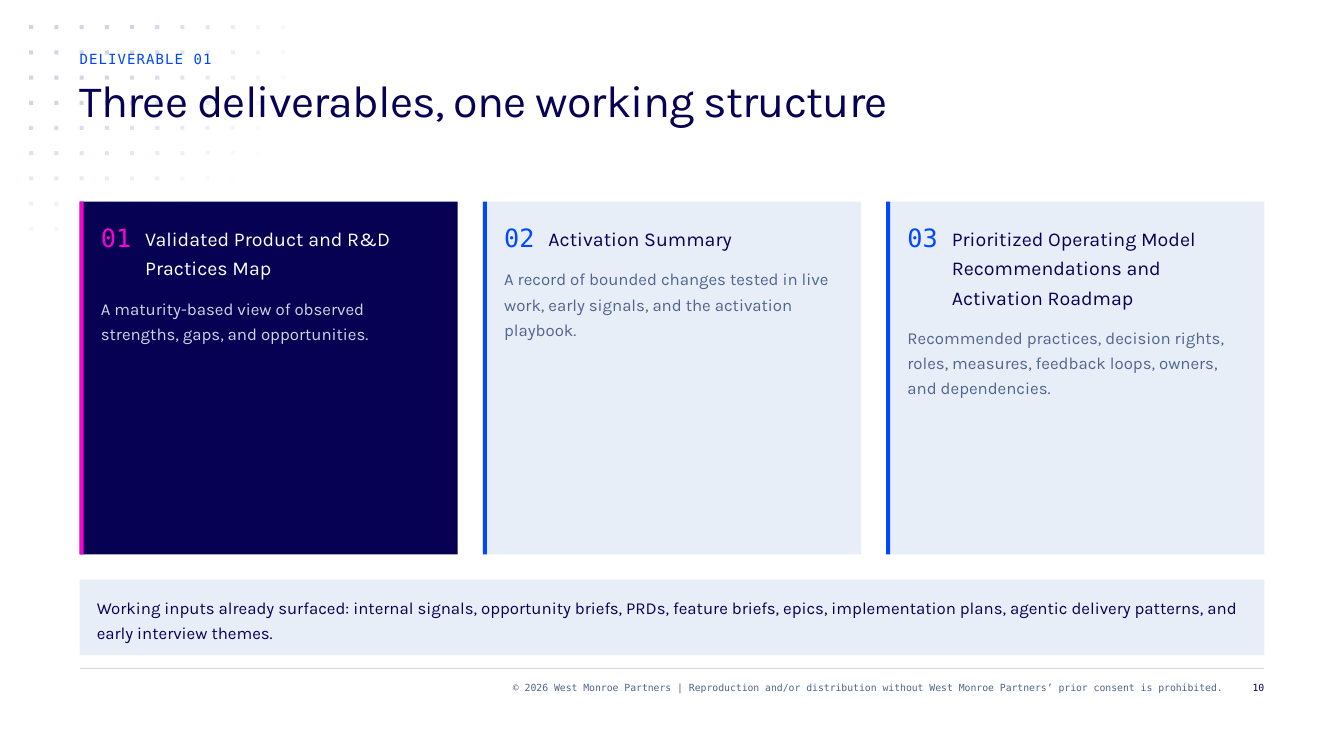
from math import hypot

from lxml import etree
from pptx import Presentation
from pptx.dml.color import RGBColor
from pptx.enum.shapes import MSO_CONNECTOR, MSO_SHAPE
from pptx.enum.text import MSO_ANCHOR, MSO_AUTO_SIZE, PP_ALIGN
from pptx.oxml.ns import qn
from pptx.util import Inches, Pt

RECT = MSO_SHAPE.RECTANGLE
STRAIGHT = MSO_CONNECTOR.STRAIGHT
TOP = MSO_ANCHOR.TOP
NO_FIT = MSO_AUTO_SIZE.NONE
LEFT, RIGHT = PP_ALIGN.LEFT, PP_ALIGN.RIGHT

SANS, MONO = "Karla", "DejaVu Sans Mono"
NAVY, BLUE, PINK, WHITE = "070154", "0047FF", "F900D3", "FFFFFF"
PALE, MIST, SLATE = "E8EEF8", "CED7E6", "50658E"
MARGIN, CONTENT_W = 0.79, 11.75


def add_rect(shapes, x, y, w, h, color):
    sp = shapes.add_shape(RECT, Inches(x), Inches(y), Inches(w), Inches(h))
    sp.shadow.inherit = False
    sp.fill.solid()
    sp.fill.fore_color.rgb = RGBColor.from_string(color)
    sp.line.fill.background()
    return sp


def set_text(sp, at, text, font, size, leading, color, align=LEFT, tracking=0):
    """Place sp at (x, y, w, h) in inches and fill it; tracking is in 1/100 pt."""
    sp.left, sp.top, sp.width, sp.height = [Inches(v) for v in at]
    tf = sp.text_frame
    tf.word_wrap = True
    tf.auto_size = NO_FIT
    tf.vertical_anchor = TOP
    tf.margin_left = tf.margin_right = tf.margin_top = tf.margin_bottom = 0
    p = tf.paragraphs[0]
    p.alignment = align
    p.line_spacing = Pt(leading)
    p.space_before = Pt(0)
    r = p.add_run()
    r.text = text
    r.font.name = font
    r.font.size = Pt(size)
    r.font.color.rgb = RGBColor.from_string(color)
    if tracking:
        r.font._element.set("spc", str(tracking))


prs = Presentation()
prs.slide_width, prs.slide_height = Inches(13.33), Inches(7.5)
s = prs.slides.add_slide(prs.slide_layouts[5])

# Dot grid that fades with elliptical distance from its top-left corner
for row in range(9):
    for col in range(3 if row == 8 else 11):
        opacity = min(100, round(153.9 - hypot(13.9 * col, 17 * row)))
        if opacity < 1:
            continue
        dot = add_rect(s.shapes, 0.29 + 0.25 * col, 0.25 + 0.25 * row, 0.04, 0.04, MIST)
        if opacity < 100:
            rgb = dot.fill._xPr.find(".//" + qn("a:srgbClr"))
            etree.SubElement(rgb, qn("a:alpha")).set("val", str(opacity * 1000))

# Footer
rule = s.shapes.add_connector(STRAIGHT, Inches(MARGIN), Inches(6.63),
                              Inches(MARGIN + CONTENT_W), Inches(6.63))
rule.line.color.rgb = RGBColor.from_string(MIST)
rule.line.width = Pt(0.75)
etree.SubElement(rule.element.spPr, qn("a:effectLst"))
footer = [
    (2.38, 9.75, SLATE, "© 2026 West Monroe Partners | Reproduction and/or distribution "
                        "without West Monroe Partners’ prior consent is prohibited."),
    (12.21, 0.33, NAVY, "10"),
]
for x, w, color, text in footer:
    set_text(s.shapes.add_textbox(0, 0, 0, 0), (x, 6.75, w, 0.25),
             text, MONO, 7, 9, color, RIGHT)

# Deliverable cards: title, title line count, description, fill, accent, title and body colours
cards = [
    ("Validated Product and R&D Practices Map", 2,
     "A maturity-based view of observed strengths, gaps, and opportunities.",
     NAVY, PINK, WHITE, MIST),
    ("Activation Summary", 1,
     "A record of bounded changes tested in live work, early signals, "
     "and the activation playbook.",
     PALE, BLUE, NAVY, SLATE),
    ("Prioritized Operating Model Recommendations and Activation Roadmap", 3,
     "Recommended practices, decision rights, roles, measures, feedback loops, "
     "owners, and dependencies.",
     PALE, BLUE, NAVY, SLATE),
]
for i, (title, lines, desc, fill, accent, title_color, desc_color) in enumerate(cards):
    x = MARGIN + 4 * i
    card = s.shapes.add_group_shape().shapes
    add_rect(card, x, 2, 3.75, 3.5, fill)
    add_rect(card, x, 2, 0.04, 3.5, accent)
    title_h = 0.29 * lines
    set_text(card.add_textbox(0, 0, 0, 0), (x + 0.21, 2.17, 0.31, 0.33),
             f"{i + 1:02}", MONO, 18, 24, accent)
    set_text(card.add_textbox(0, 0, 0, 0), (x + 0.65, 2.19, 2.94, title_h),
             title, SANS, 14, 21, title_color)
    set_text(card.add_textbox(0, 0, 0, 0), (x + 0.21, 2.33 + title_h, 3.38, 0.75),
             desc, SANS, 12, 18, desc_color)

# Working inputs band
band = s.shapes.add_group_shape().shapes
add_rect(band, MARGIN, 5.75, CONTENT_W, 0.75, PALE)
set_text(band.add_textbox(0, 0, 0, 0), (0.96, 5.88, 11.42, 0.5),
         "Working inputs already surfaced: internal signals, opportunity briefs, PRDs, "
         "feature briefs, epics, implementation plans, agentic delivery patterns, "
         "and early interview themes.", SANS, 12, 18, NAVY)

# Heading, brought in front of the dots
heading = s.shapes.title
set_text(heading, (MARGIN, 0.75, 10.25, 1), "Three deliverables, one working structure",
         SANS, 32, 36, NAVY, tracking=-60)
heading.element.getparent().append(heading.element)
set_text(s.shapes.add_textbox(0, 0, 0, 0), (MARGIN, 0.5, 10.25, 0.25),
         "DELIVERABLE 01", MONO, 10, 12, BLUE, tracking=80)

prs.save("out.pptx")
